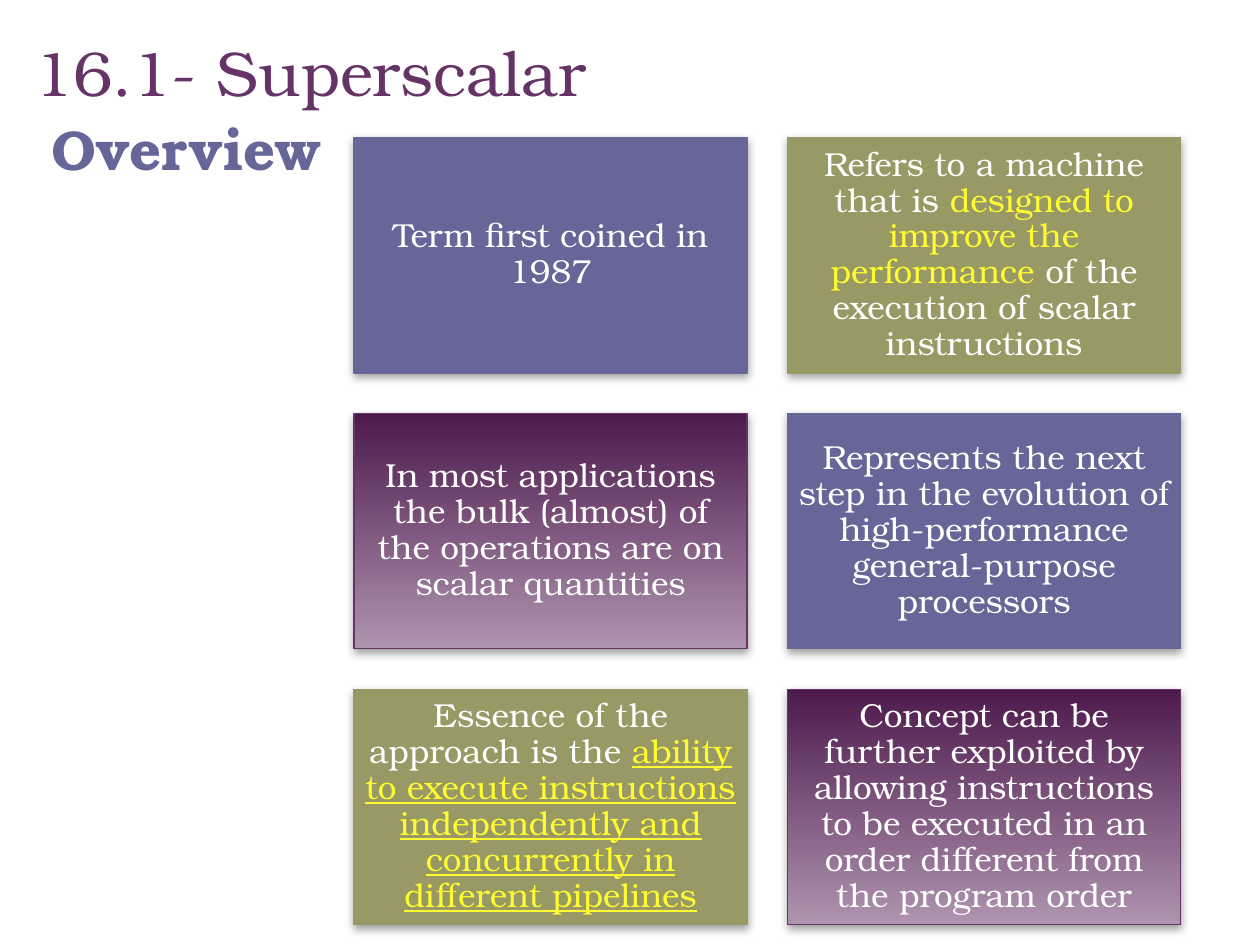
from dataclasses import dataclass

from lxml.etree import SubElement
from pptx import Presentation
from pptx.dml.color import RGBColor
from pptx.enum.shapes import MSO_SHAPE
from pptx.enum.text import MSO_ANCHOR, MSO_AUTO_SIZE, PP_ALIGN
from pptx.oxml.ns import qn
from pptx.util import Inches, Pt


@dataclass(frozen=True)
class Theme:
    """Colours, font and type sizes of the slide."""

    font: str = "TeX Gyre Bonum"
    plum: str = "663366"
    plum_dark: str = "4D1A4D"
    plum_light: str = "AF94AF"
    violet: str = "666699"
    olive: str = "999966"
    white: str = "FFFFFF"
    yellow: str = "FEFB31"
    shadow: str = "808080"
    title_size: int = 36
    heading_size: int = 32
    card_size: int = 19


def add_text(paragraph, text, *, font, size, color, bold=False, underline=False):
    """Append a formatted run to a paragraph."""
    run = paragraph.add_run()
    run.text = text
    run.font.name = font
    run.font.size = Pt(size)
    run.font.bold = bold
    run.font.underline = underline
    run.font.color.rgb = RGBColor.from_string(color)


class SlideBuilder:
    """Holds the theme and the current slide."""

    def __init__(self, slide, theme):
        """Keep the slide and the theme."""
        self.slide = slide
        self.theme = theme

    def frame(self, shape, anchor, align, inset=None):
        """Prepare the text frame of a shape and return its first paragraph."""
        frame = shape.text_frame
        frame.word_wrap = True
        frame.auto_size = MSO_AUTO_SIZE.NONE
        frame.vertical_anchor = anchor
        if inset is not None:
            frame.margin_left = frame.margin_right = Inches(inset)
            frame.margin_top = frame.margin_bottom = Inches(inset)
        paragraph = frame.paragraphs[0]
        paragraph.alignment = align
        return paragraph

    def title(self, text, left, top, width, height):
        """Move and fill the title placeholder."""
        title = self.slide.shapes.title
        title.left, title.top = Inches(left), Inches(top)
        title.width, title.height = Inches(width), Inches(height)
        paragraph = self.frame(title, MSO_ANCHOR.BOTTOM, PP_ALIGN.LEFT)
        add_text(paragraph, text, font=self.theme.font,
                 size=self.theme.title_size, color=self.theme.plum)

    def heading(self, text, left, top, width, height):
        """Add the bold heading beside the cards."""
        heading = self.slide.shapes.add_textbox(
            Inches(left), Inches(top), Inches(width), Inches(height))
        paragraph = self.frame(heading, MSO_ANCHOR.TOP, PP_ALIGN.LEFT)
        add_text(paragraph, text, font=self.theme.font, bold=True,
                 size=self.theme.heading_size, color=self.theme.violet)

    def shadow(self, shape):
        """Give a shape a soft shadow below it."""
        shape.shadow.inherit = False
        effects = shape._element.spPr.find(qn("a:effectLst"))
        outer = SubElement(effects, qn("a:outerShdw"), blurRad=str(Pt(5)),
                           dist=str(Pt(2)), dir="5400000", rotWithShape="0")
        color = SubElement(outer, qn("a:srgbClr"), val=self.theme.shadow)
        SubElement(color, qn("a:alpha"), val="75000")

    def card(self, phrases, color, left, top, width, height):
        """Add a card whose text is a list of phrases with their formats."""
        card = self.slide.shapes.add_shape(
            MSO_SHAPE.RECTANGLE, Inches(left), Inches(top), Inches(width), Inches(height))
        if color == self.theme.plum:
            card.fill.gradient()
            card.fill.gradient_angle = 270
            shades = (self.theme.plum_dark, self.theme.plum_light)
            for stop, shade in zip(card.fill.gradient_stops, shades):
                stop.color.rgb = RGBColor.from_string(shade)
        else:
            card.fill.solid()
            card.fill.fore_color.rgb = RGBColor.from_string(color)
        card.line.color.rgb = RGBColor.from_string(color)
        card.line.width = Pt(0.75)
        self.shadow(card)
        paragraph = self.frame(card, MSO_ANCHOR.MIDDLE, PP_ALIGN.CENTER, 0.08)
        paragraph.line_spacing = 0.9
        base = {"font": self.theme.font, "size": self.theme.card_size,
                "color": self.theme.white}
        for text, emphasis in phrases:
            add_text(paragraph, text, **{**base, **emphasis})


def main():
    """Build and save the slide."""
    theme = Theme()
    presentation = Presentation()
    presentation.slide_width, presentation.slide_height = Inches(10), Inches(7.5)
    builder = SlideBuilder(
        presentation.slides.add_slide(presentation.slide_layouts[5]), theme)

    plain = {}
    bright = {"color": theme.yellow}
    underlined = {"color": theme.yellow, "underline": True}
    points = [
        [("Term first coined in 1987", plain)],
        [("Refers to a machine that is ", plain),
         ("designed to improve the performance ", bright),
         ("of the execution of scalar instructions", plain)],
        [("In most applications the bulk (almost) of the operations are on "
          "scalar quantities", plain)],
        [("Represents the next step in the evolution of high-performance "
          "general-purpose processors", plain)],
        [("Essence of the approach is the ", plain),
         ("ability to execute instructions independently and concurrently in "
          "different pipelines", underlined)],
        [("Concept can be further exploited by allowing instructions to be "
          "executed in an order different from the program order", plain)],
    ]
    colors = (theme.violet, theme.olive, theme.plum)

    builder.title("16.1- Superscalar", 0.17, 0.17, 8.26, 0.75)
    for index, phrases in enumerate(points):
        row, column = divmod(index, 2)
        builder.card(phrases, colors[index % len(colors)],
                     2.81 + 3.44 * column, 1.09 + 2.19 * row, 3.12, 1.87)
    builder.heading("Overview", 0.31, 0.86, 2.75, 1)
    presentation.save("out.pptx")


if __name__ == "__main__":
    main()
